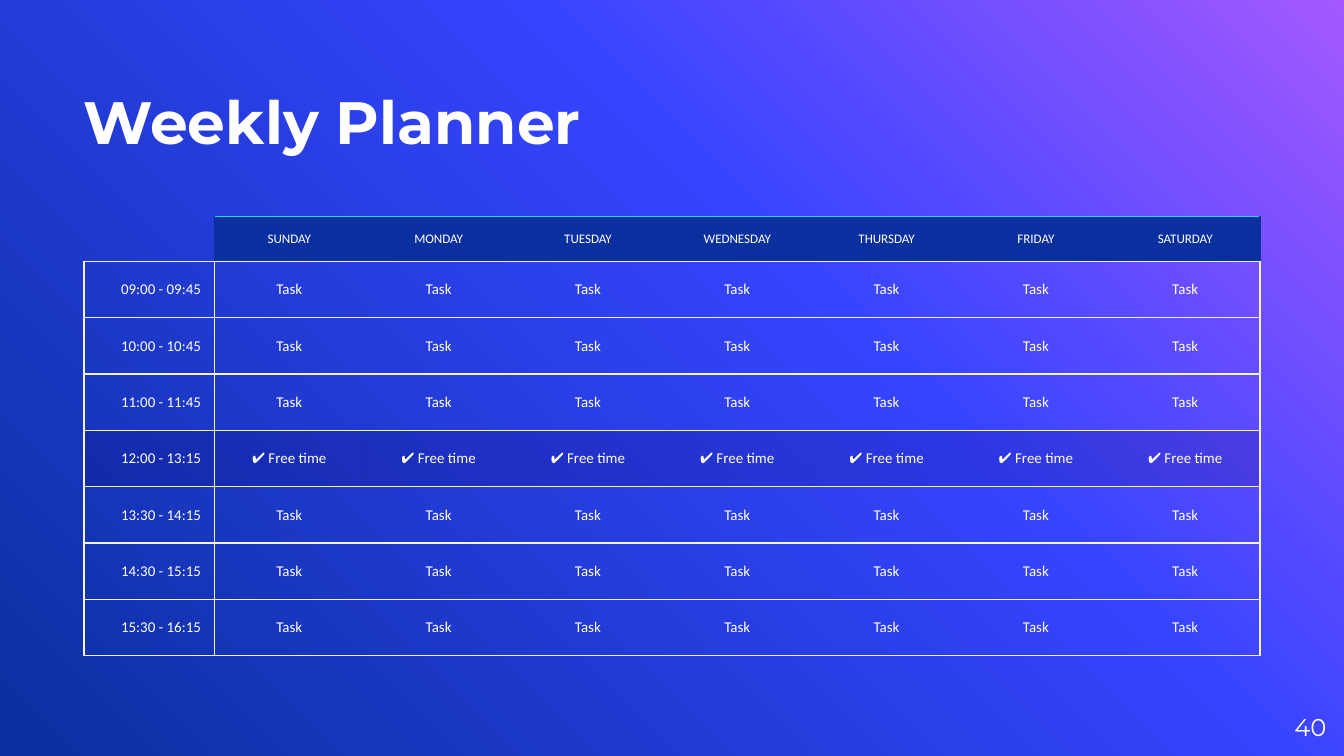
from copy import deepcopy

from lxml import etree
from pptx import Presentation
from pptx.dml.color import RGBColor
from pptx.enum.text import MSO_ANCHOR as ANCHOR, PP_ALIGN as ALIGN
from pptx.oxml.ns import qn
from pptx.util import Pt

WHITE, NAVY, CYAN, GRID, SHADE = "FFFFFF", "0A2F9E", "24D6FF", "F3F3F3", "050060"
DAYS = ["SUNDAY", "MONDAY", "TUESDAY", "WEDNESDAY", "THURSDAY", "FRIDAY", "SATURDAY"]
TIMES = ["09:00 - 09:45", "10:00 - 10:45", "11:00 - 11:45", "12:00 - 13:15",
         "13:30 - 14:15", "14:30 - 15:15", "15:30 - 16:15"]
BREAK_ROW = 4
NO_STYLE = "{2D5ABB26-0587-4C30-8999-92F81FD0307C}"


def write(tf, text, align, font, size, bold=False):
    p = tf.paragraphs[0]
    p.alignment = align
    r = p.add_run()
    r.text = text
    for name, value in {"name": font, "size": Pt(size), "bold": bold}.items():
        setattr(r.font, name, value)
    r.font.color.rgb = RGBColor.from_string(WHITE)


def set_borders(cell, colors):
    """Draw 0.75 pt lines on the sides L, R, T, B that have a colour; hide the others."""
    tcPr = cell._tc.get_or_add_tcPr()
    for i, side in enumerate("LRTB"):
        ln = etree.Element(qn(f"a:ln{side}"), w=str(Pt(0.75)))
        if side in colors:
            fill = etree.SubElement(ln, qn("a:solidFill"))
            etree.SubElement(fill, qn("a:srgbClr"), val=colors[side])
        else:
            etree.SubElement(ln, qn("a:noFill"))
        tcPr.insert(i, ln)


prs = Presentation()
prs.slide_width, prs.slide_height = Pt(720), Pt(405)
s = prs.slides.add_slide(prs.slide_layouts[6])

# Background gradient, from the top right to the bottom left
bg = s.background.fill
bg.gradient()
bg.gradient_angle = 225
stop_list = s._element.find(".//" + qn("a:gsLst"))
stop_list.append(deepcopy(stop_list[0]))
for stop, (position, color) in zip(bg.gradient_stops,
                                   [(0, "A458FF"), (0.39, "3544FF"), (1, NAVY)]):
    stop.position = position
    stop.color.rgb = RGBColor.from_string(color)

# Title and page number
for text, box, anchor, align, size, bold in [
    ("Weekly Planner", (45, 16.5, 474, 67.5), ANCHOR.BOTTOM, ALIGN.LEFT, 32, True),
    ("40", (667.5, 374, 43, 31), ANCHOR.MIDDLE, ALIGN.RIGHT, 13, False),
]:
    tf = s.shapes.add_textbox(*map(Pt, box)).text_frame
    frame_format = {"word_wrap": True, "vertical_anchor": anchor, "margin_left": 0,
                    "margin_right": 0, "margin_top": 0, "margin_bottom": 0}
    for name, value in frame_format.items():
        setattr(tf, name, value)
    write(tf, text, align, "Montserrat", size, bold)

# Planner table
n_rows, n_cols = len(TIMES) + 1, len(DAYS) + 1
frame = s.shapes.add_table(n_rows, n_cols, Pt(45), Pt(115.9), Pt(630), Pt(235.5))
table = frame.table
table.first_row = table.horz_banding = False
table._tbl.tblPr.find(qn("a:tableStyleId")).text = NO_STYLE
for i, row in enumerate(table.rows):
    row.height = Pt(30.2 if i else 24.1)
for j, col in enumerate(table.columns):
    col.width = Pt(80 if j else 70)

cell_format = {"vertical_anchor": ANCHOR.MIDDLE, "margin_left": Pt(7.2),
               "margin_right": Pt(7.2), "margin_top": Pt(7.2), "margin_bottom": Pt(7.2)}
for i in range(n_rows):
    for j in range(n_cols):
        cell = table.cell(i, j)
        for name, value in cell_format.items():
            setattr(cell, name, value)

        if i == 0:
            text = DAYS[j - 1] if j else ""
        elif j == 0:
            text = TIMES[i - 1]
        else:
            text = "✔ Free time" if i == BREAK_ROW else "Task"
        if text:
            write(cell.text_frame, text, ALIGN.CENTER if j else ALIGN.RIGHT,
                  "Calibri", 8 if i else 7)
        else:
            cell.text_frame.paragraphs[0]._p.get_or_add_endParaRPr().set("sz", "700")

        if i == 0 and j or i == BREAK_ROW:
            cell.fill.solid()
            cell.fill.fore_color.rgb = RGBColor.from_string(SHADE if i else NAVY)
        else:
            cell.fill.background()
        if i == BREAK_ROW:
            color = cell._tc.tcPr.find(".//" + qn("a:srgbClr"))
            etree.SubElement(color, qn("a:alpha"), val="18000")

        borders = {"B": GRID}
        if i or j:
            borders["T"] = GRID if i else CYAN
        side_color = GRID if i else NAVY
        if j == 0 and i or j == 1:
            borders["L"] = side_color
        if j in (0, n_cols - 1):
            borders["R"] = side_color
        set_borders(cell, borders)

prs.save("out.pptx")
